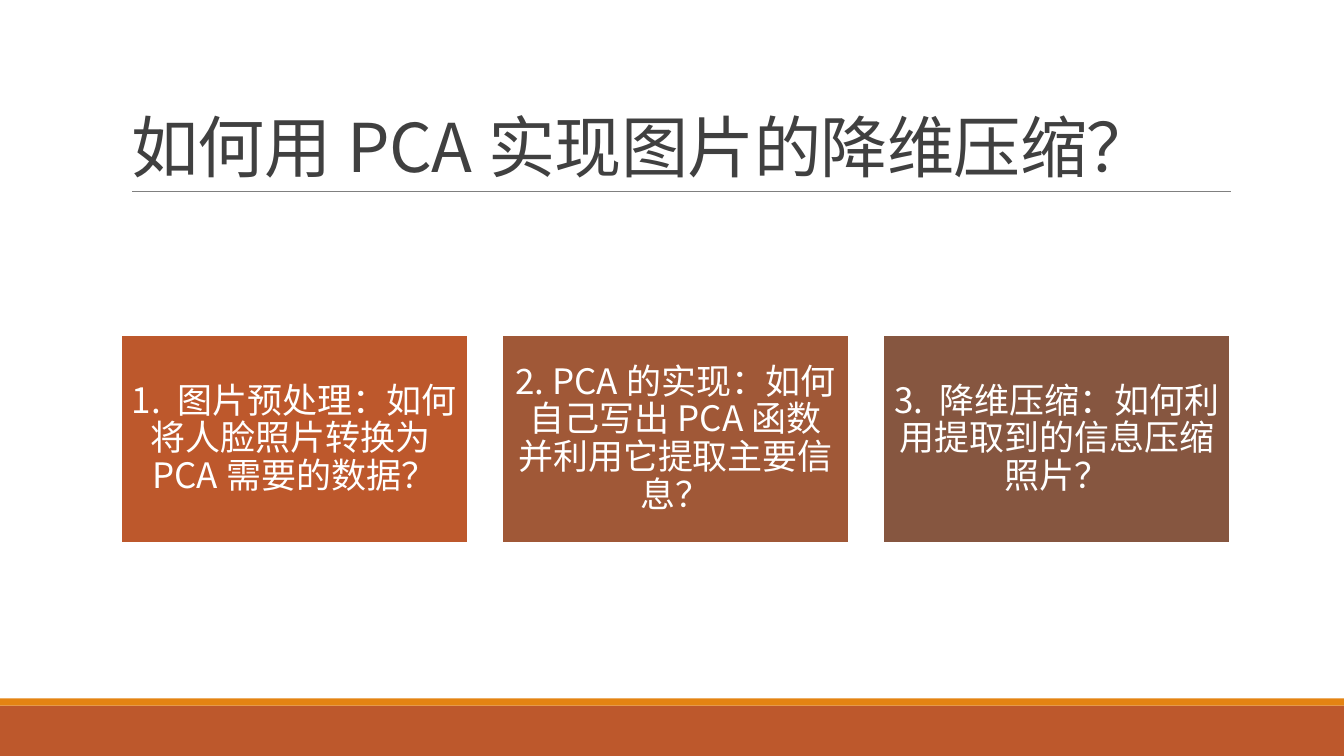
from lxml.etree import SubElement
from pptx import Presentation
from pptx.dml.color import RGBColor
from pptx.enum.shapes import MSO_CONNECTOR as Connector, MSO_SHAPE as Shape
from pptx.enum.text import MSO_ANCHOR as Anchor, MSO_AUTO_SIZE as AutoSize, PP_ALIGN as Align
from pptx.oxml.ns import qn
from pptx.util import Inches, Pt

COLORS = {
    "rust": "BD582C", "orange": "E48312", "sienna": "A05837", "brown": "865640",
    "white": "FFFFFF", "ink": "404040", "rule": "808080",
}
STEPS = [
    ("rust", "1. 图片预处理：如何将人脸照片转换为PCA需要的数据？"),
    ("sienna", "2. PCA的实现：如何自己写出PCA函数并利用它提取主要信息？"),
    ("brown", "3. 降维压缩：如何利用提取到的信息压缩照片？"),
]
SLIDE_WIDTH, SLIDE_HEIGHT = 13.33, 7.5
CARD_LEFT, CARD_TOP, CARD_WIDTH, CARD_HEIGHT, CARD_PITCH = 1.2, 3.33, 3.44, 2.06, 3.78


def rgb(name):
    return RGBColor.from_string(COLORS[name])


def assign(target, **values):
    for name, value in values.items():
        setattr(target, name, value)


class StepSlide:
    font_name = "Noto Sans CJK SC"

    def __init__(self, slide):
        self.slide = slide

    def add_text(self, shape, text, size, color, frame_format, paragraph_format, tracking=0):
        """Fill a shape with one paragraph; tracking is in hundredths of a point."""
        frame = shape.text_frame
        assign(frame, word_wrap=True, auto_size=AutoSize.NONE, **frame_format)
        paragraph = frame.paragraphs[0]
        assign(paragraph, **paragraph_format)
        run = paragraph.add_run()
        run.text = text
        run.font.color.rgb = rgb(color)
        assign(run.font, size=Pt(size), name=self.font_name)
        properties = run._r.get_or_add_rPr()
        SubElement(properties, qn("a:ea"), typeface=self.font_name)
        if tracking:
            properties.set("spc", str(tracking))

    def title(self, text, left, top, width, height):
        heading = self.slide.shapes.title
        assign(heading, left=Inches(left), top=Inches(top),
               width=Inches(width), height=Inches(height))
        self.add_text(heading, text, 48, "ink", {"vertical_anchor": Anchor.BOTTOM},
                      {"alignment": Align.LEFT, "line_spacing": 0.85}, tracking=-50)

    def block(self, color, left, top, width, height, border=None):
        block = self.slide.shapes.add_shape(
            Shape.RECTANGLE, Inches(left), Inches(top), Inches(width), Inches(height))
        block.shadow.inherit = False
        block.fill.solid()
        block.fill.fore_color.rgb = rgb(color)
        if border:
            block.line.color.rgb = rgb(border)
            block.line.width = Pt(1.25)
        else:
            block.line.fill.background()
        return block

    def card(self, text, color, left, top, width, height):
        card = self.block(color, left, top, width, height, border="white")
        margins = {f"margin_{side}": Inches(0.1) for side in ("left", "top", "right", "bottom")}
        self.add_text(card, text, 25, "white", {"vertical_anchor": Anchor.MIDDLE, **margins},
                      {"alignment": Align.CENTER, "line_spacing": 0.9})

    def rule(self, left, right, y):
        rule = self.slide.shapes.add_connector(
            Connector.STRAIGHT, Inches(left), Inches(y), Inches(right), Inches(y))
        rule.line.color.rgb = rgb("rule")
        rule.line.width = Pt(0.5)
        SubElement(rule._element.spPr, qn("a:effectLst"))


def main():
    deck = Presentation()
    assign(deck, slide_width=Inches(SLIDE_WIDTH), slide_height=Inches(SLIDE_HEIGHT))
    page = StepSlide(deck.slides.add_slide(deck.slide_layouts[5]))
    page.block("rust", 0, 7, SLIDE_WIDTH, 0.5)
    page.block("orange", 0, 6.93, SLIDE_WIDTH, 0.07)
    page.rule(1.31, 12.21, 1.9)
    page.title("如何用PCA实现图片的降维压缩？", 1.2, 0.31, 11, 1.59)
    for index, (color, question) in enumerate(STEPS):
        page.card(question, color, CARD_LEFT + index * CARD_PITCH,
                  CARD_TOP, CARD_WIDTH, CARD_HEIGHT)
    deck.save("out.pptx")


if __name__ == "__main__":
    main()
